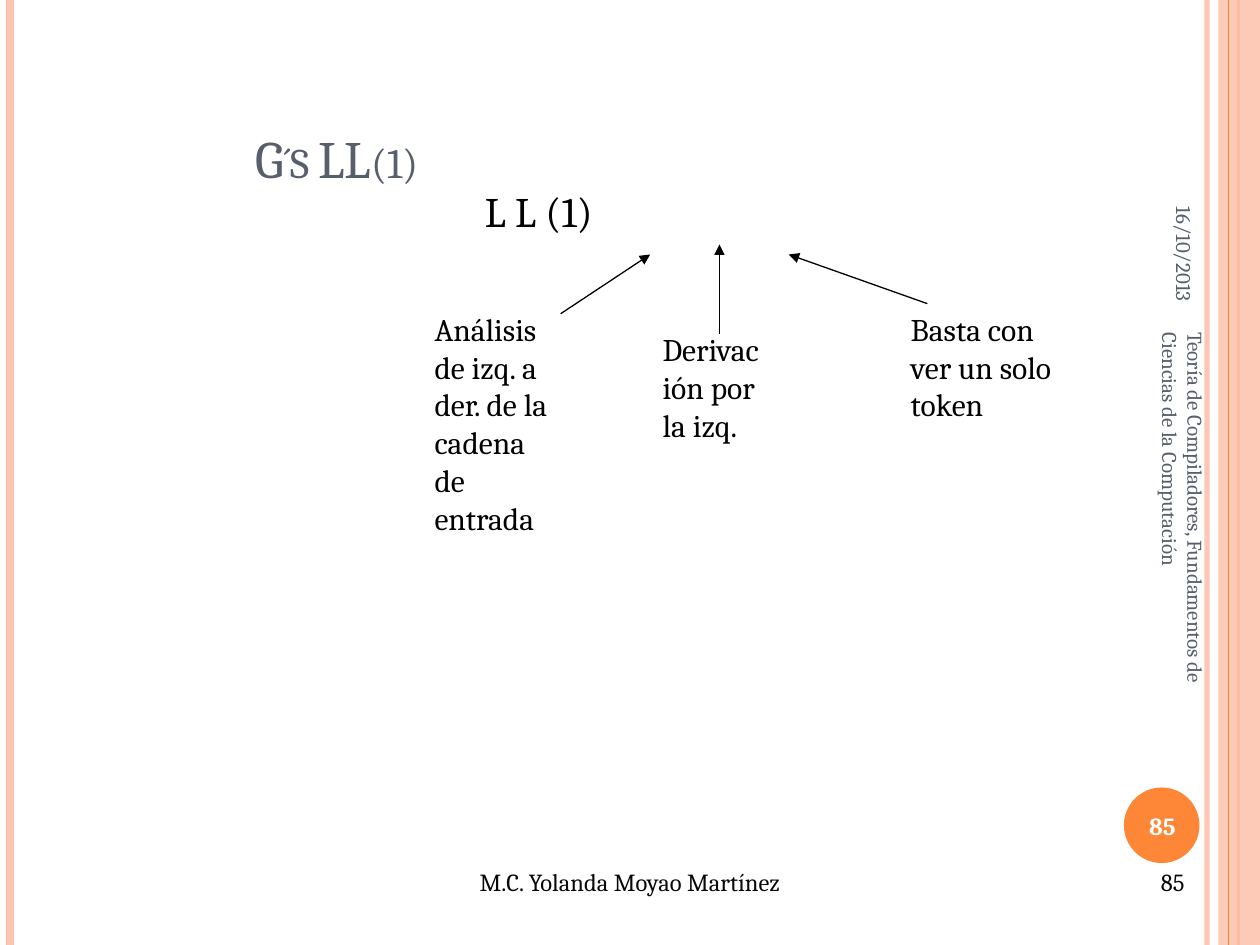
"""Build the slide that explains the name LL(1)."""
from dataclasses import dataclass

from lxml import etree
from pptx import Presentation
from pptx import util as u
from pptx.dml.color import RGBColor
from pptx.enum import shapes, text
from pptx.oxml import ns


@dataclass(frozen=True)
class Theme:
    """Colours and type sizes."""
    font: str = "Cambria"
    peach: str = "FEC3AE"
    orange: str = "FE8637"
    slate: str = "575F6D"
    black: str = "000000"
    ink: str = "080808"
    white: str = "FFFFFF"
    title: int = 30
    lead: int = 24
    note: int = 18
    foot: int = 14
    side: int = 12


def put(frame, words, size, tint, font, align="LEFT", anchor="TOP",
        bold=False, caps=False, indent=0):
    """Write text into a frame with its format."""
    frame.word_wrap = True
    frame.auto_size = text.MSO_AUTO_SIZE.NONE
    frame.vertical_anchor = text.MSO_ANCHOR[anchor]
    para = frame.paragraphs[0]
    para.alignment = text.PP_ALIGN[align]
    if indent:
        para._p.get_or_add_pPr().set("marL", str(u.Inches(indent)))
    run = para.add_run()
    run.text = words
    run.font.name = font
    run.font.size = u.Pt(size)
    run.font.bold = bold
    run.font.color.rgb = RGBColor.from_string(tint)
    if caps:
        run.font._element.set("cap", "small")


def fade(fill, alpha):
    """Set the opacity of a solid fill, in percent."""
    tint = fill._xPr.find(".//" + ns.qn("a:srgbClr"))
    etree.SubElement(tint, ns.qn("a:alpha")).set("val", str(alpha * 1000))


class Painter:
    """Holds the style and the current slide."""

    def __init__(self, slide, theme):
        self.slide = slide
        self.theme = theme

    def label(self, box, words, size, tint, turn=0, **form):
        """Add a text box."""
        shape = self.slide.shapes.add_textbox(*map(u.Inches, box))
        shape.rotation = turn
        put(shape.text_frame, words, size, tint, self.theme.font, **form)

    def block(self, kind, box, tint, alpha=100):
        """Add a filled shape with no outline."""
        shape = self.slide.shapes.add_shape(
            shapes.MSO_SHAPE[kind], *map(u.Inches, box))
        shape.shadow.inherit = False
        shape.fill.solid()
        shape.fill.fore_color.rgb = RGBColor.from_string(tint)
        shape.line.fill.background()
        if alpha < 100:
            fade(shape.fill, alpha)

    def line(self, start, end, tint, width, alpha=100, arrow=False):
        """Add a straight line, with an arrowhead at its end if asked."""
        link = self.slide.shapes.add_connector(
            shapes.MSO_CONNECTOR.STRAIGHT, *map(u.Inches, start + end))
        link.line.color.rgb = RGBColor.from_string(tint)
        link.line.width = u.Pt(width)
        if alpha < 100:
            fade(link.line.fill, alpha)
        props = link._element.spPr
        if arrow:
            head = etree.SubElement(props.find(ns.qn("a:ln")), ns.qn("a:tailEnd"))
            head.set("type", "triangle")
        etree.SubElement(props, ns.qn("a:effectLst"))

    def rule(self, left, tint, width, alpha=100):
        """Add a line down the whole slide."""
        self.line((left, 0), (left, 7.5), tint, width, alpha)


def main():
    """Build and save the slide."""
    deck = Presentation()
    deck.slide_width, deck.slide_height = u.Inches(10), u.Inches(7.5)
    look = Theme()
    pen = Painter(deck.slides.add_slide(deck.slide_layouts[6]), look)

    pen.rule(9.58, look.peach, 3, alpha=93)
    pen.rule(0.08, look.peach, 4.5)
    pen.rule(9.83, look.orange, 1.5)
    pen.block("RECTANGLE", (9.67, 0, 0.33, 7.5), look.peach, alpha=87)
    pen.rule(9.75, look.orange, 0.75)
    pen.block("OVAL", (8.92, 6.25, 0.6, 0.6), look.orange)

    pen.label((7.64, 4.09, 3.5, 0.4),
              "Teoría de Compiladores, Fundamentos de Ciencias de la Computación",
              look.side, look.slate, turn=90, anchor="MIDDLE")
    pen.label((8.3, 1.18, 2.2, 0.42), "16/10/2013", look.side, look.slate,
              turn=90, align="RIGHT", anchor="MIDDLE")
    pen.label((8.89, 6.27, 0.67, 0.57), "85", look.foot, look.white,
              align="CENTER", anchor="MIDDLE", bold=True)
    pen.label((1.93, -0.02, 8.07, 1.57), "G´s LL(1)", look.title, look.slate,
              anchor="BOTTOM", caps=True)
    pen.label((1.92, 1.42, 8.08, 5.75), "L L (1)", look.lead, look.black,
              indent=1.83)
    pen.label((3.42, 6.83, 3.16, 0.52), "M.C. Yolanda Moyao Martínez",
              look.foot, look.ink, align="CENTER")
    pen.label((7.17, 6.83, 2.33, 0.52), "85", look.foot, look.ink, align="RIGHT")

    notes = [
        ("Análisis de izq. a der. de la cadena de entrada",
         (3.35, 2.41, 1.18, 3.3), (4.45, 2.49), (5.16, 2.02)),
        ("Derivación por la izq.",
         (5.16, 2.57, 1.02, 1.7), (5.71, 2.65), (5.71, 1.94)),
        ("Basta con ver un solo token",
         (7.13, 2.41, 1.5, 1.7), (7.36, 2.41), (6.26, 2.02)),
    ]
    for words, box, start, end in notes:
        pen.label(box, words, look.note, look.black)
        pen.line(start, end, look.black, 0.75, arrow=True)

    deck.save("out.pptx")


if __name__ == "__main__":
    main()
